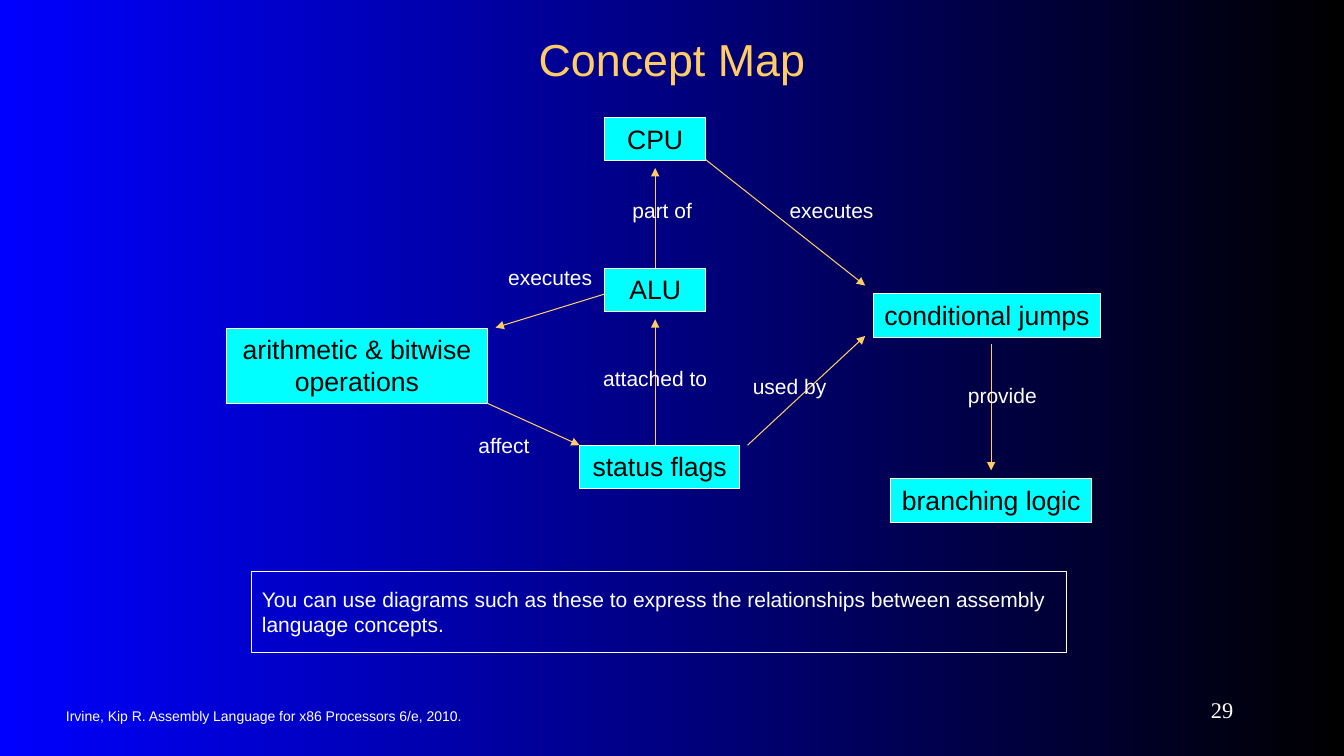
"""Build the Concept Map slide."""
from lxml.etree import SubElement
from pptx import Presentation
from pptx.dml.color import RGBColor
from pptx.enum.shapes import MSO_CONNECTOR as Conn, MSO_SHAPE as Shape
from pptx.enum.text import MSO_ANCHOR as Anchor, PP_ALIGN as Align
from pptx.oxml.ns import qn
from pptx.util import Pt

BLUE, BLACK, WHITE, CYAN, GOLD = "0000FF", "000000", "FFFFFF", "00FFFF", "FFCC66"

BOXES = [
    ("status flags", 414, 318, 114.5, 31),
    ("ALU", 432, 191.5, 72, 31),
    ("conditional jumps", 624, 210, 162, 31),
    ("branching logic", 636, 342, 144, 31),
    ("arithmetic & bitwise operations", 162, 234.5, 186, 53.5),
    ("CPU", 432, 84, 72, 31),
]
ARROWS = [
    (468, 191.5, 468, 120),
    (348, 288, 414, 318),
    (468, 318, 468, 228),
    (534, 318, 618, 240),
    (708, 246, 708, 336),
    (504, 114, 618, 204),
    (432, 210, 354, 234),
]
LABELS = [
    ("part of", 473, 132),
    ("used by", 564, 258),
    ("provide", 716, 264),
    ("attached to", 468, 252),
    ("affect", 360, 300),
    ("executes", 594, 132),
    ("executes", 393, 180),
]
LABEL_W, LABEL_H = 100, 40
NOTE = ("You can use diagrams such as these to express the relationships "
        "between assembly language concepts.")
SOURCE = "Irvine, Kip R. Assembly Language for x86 Processors 6/e, 2010."


def tint(hue):
    return RGBColor.from_string(hue)


def write(shape, text, size, hue, align=Align.CENTER, anchor=Anchor.TOP,
          inset=(7.2, 3.6), font="Arial"):
    frame = shape.text_frame
    frame.word_wrap = True
    frame.vertical_anchor = anchor
    frame.margin_left = frame.margin_right = Pt(inset[0])
    frame.margin_top = frame.margin_bottom = Pt(inset[1])
    para = frame.paragraphs[0]
    para.alignment = align
    run = para.add_run()
    run.text = text
    run.font.name, run.font.size = font, Pt(size)
    run.font.color.rgb = tint(hue)


def label(slide, box, *args, **style):
    write(slide.shapes.add_textbox(*map(Pt, box)), *args, **style)


def rect(slide, box, fill=None):
    shape = slide.shapes.add_shape(Shape.RECTANGLE, *map(Pt, box))
    shape.shadow.inherit = False
    if fill:
        shape.fill.solid()
        shape.fill.fore_color.rgb = tint(fill)
    else:
        shape.fill.background()
    shape.line.color.rgb = tint(WHITE)
    shape.line.width = Pt(0.75)
    return shape


def arrow(slide, ends):
    line = slide.shapes.add_connector(Conn.STRAIGHT, *map(Pt, ends))
    line.line.color.rgb = tint(GOLD)
    line.line.width = Pt(0.75)
    SubElement(line.line._get_or_add_ln(), qn("a:tailEnd"), type="triangle")
    SubElement(line._element.spPr, qn("a:effectLst"))
    return line


def main():
    deck = Presentation()
    deck.slide_width, deck.slide_height = Pt(960), Pt(540)
    slide = deck.slides.add_slide(deck.slide_layouts[6])
    back = slide.background.fill
    back.gradient()
    back.gradient_angle = 0
    for stop, hue in zip(back.gradient_stops, (BLUE, BLACK)):
        stop.color.rgb = tint(hue)

    label(slide, (72, 18, 816, 48), "Concept Map", 32, GOLD, anchor=Anchor.MIDDLE)
    label(slide, (40, 499, 456, 24), SOURCE, 10, WHITE, Align.LEFT, Anchor.MIDDLE)
    label(slide, (784, 492, 104, 30), "29", 16, WHITE, Align.RIGHT,
          Anchor.MIDDLE, font="Times New Roman")

    nodes = {}
    for name, *box in BOXES:
        nodes[name] = rect(slide, box, CYAN)
        write(nodes[name], name, 19, BLACK, inset=(3.6, 3.6))
    lines = [arrow(slide, ends) for ends in ARROWS]
    lines[0].begin_connect(nodes["ALU"], 0)
    for text, mid, top in LABELS:
        label(slide, (mid - LABEL_W / 2, top, LABEL_W, LABEL_H), text, 15, WHITE,
              inset=(7.2, 10.8))
    write(rect(slide, (180, 408, 582, 58)), NOTE, 15, WHITE, Align.LEFT,
          inset=(7.2, 10.8))
    deck.save("out.pptx")


if __name__ == "__main__":
    main()
